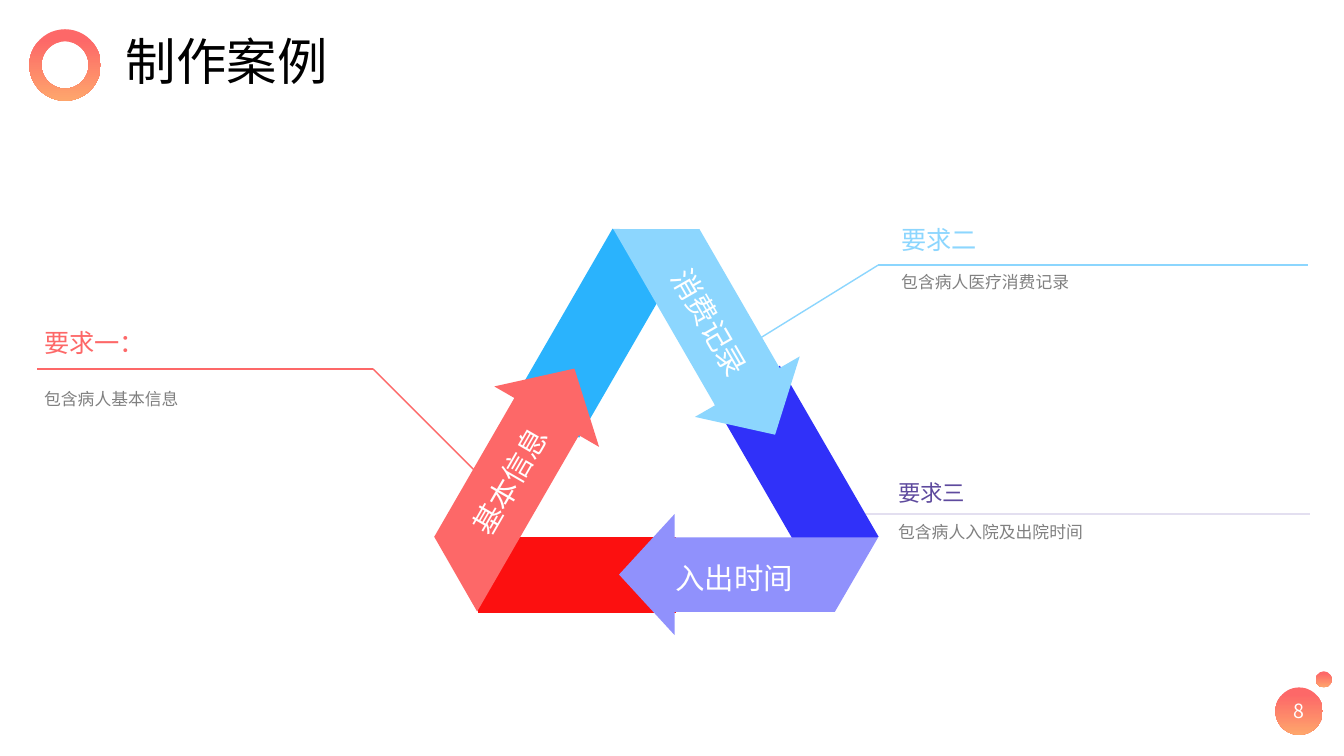
from dataclasses import dataclass
from lxml import etree
from pptx import Presentation, util as u
from pptx.dml.color import RGBColor
from pptx.enum import shapes, text
from pptx.oxml import ns


@dataclass(frozen=True)
class Theme:
    font: str = "Noto Sans CJK SC"
    coral: str = "FD6868"
    orange: str = "FEA66C"
    red: str = "FC1010"
    sky: str = "8CD6FE"
    azure: str = "2AB3FD"
    blue: str = "3031F9"
    lilac: str = "9091FC"
    violet: str = "5E4A9E"
    pale: str = "E3DFF0"
    grey: str = "808080"
    black: str = "000000"
    white: str = "FFFFFF"
    title: int = 36
    label: int = 21
    heading: int = 18
    small_heading: int = 16
    number: int = 14
    body: int = 12


COLS, ROWS = 133.3, 75
ARROW = [(0, 97), (43, 23), (202, 23), (202, 0), (257, 60), (202, 120), (202, 97)]
BAR = [(0, 0), (196, 0), (196, 75), (0, 75)]


class Deck:
    def __init__(self, theme):
        self.theme = theme
        self.prs = Presentation()
        self.prs.slide_width, self.prs.slide_height = u.Inches(13.33), u.Inches(7.5)
        self.cell_w = self.prs.slide_width / COLS
        self.cell_h = self.prs.slide_height / ROWS
        self.s = self.prs.slides.add_slide(self.prs.slide_layouts[6])

    def x(self, cols):
        return u.Emu(round(cols * self.cell_w))

    def y(self, rows):
        return u.Emu(round(rows * self.cell_h))

    def box(self, left, top, width, height):
        return self.x(left), self.y(top), self.x(width), self.y(height)

    def fill_text(self, sp, words, size, color, align=text.PP_ALIGN.LEFT, spacing=None, **frame):
        tf = sp.text_frame
        for name, value in frame.items():
            setattr(tf, name, value)
        p = tf.paragraphs[0]
        for name, value in {"alignment": align, "line_spacing": spacing}.items():
            setattr(p, name, value)
        r = p.add_run()
        r.text = words
        for name, value in {"name": self.theme.font, "size": u.Pt(size)}.items():
            setattr(r.font, name, value)
        r.font.color.rgb = RGBColor.from_string(color)
        ea = etree.SubElement(r.font._element, ns.qn("a:ea"))
        ea.set("typeface", self.theme.font)

    def text(self, place, words, size, color, **style):
        tb = self.s.shapes.add_textbox(*self.box(*place))
        fmt = {"word_wrap": True, "auto_size": text.MSO_AUTO_SIZE.SHAPE_TO_FIT_TEXT}
        self.fill_text(tb, words, size, color, **{**fmt, **style})

    def gradient(self, kind, place):
        sp = self.s.shapes.add_shape(kind, *self.box(*place))
        sp.shadow.inherit = False
        sp.line.fill.background()
        sp.fill.gradient()
        sp.fill.gradient_angle = 270
        stops = [(0.15, self.theme.coral), (1, self.theme.orange)]
        for stop, (position, color) in zip(sp.fill.gradient_stops, stops):
            stop.position = position
            stop.color.rgb = RGBColor.from_string(color)
        return sp

    def line(self, points, color, width=1):
        for start, end in zip(points, points[1:]):
            c = self.s.shapes.add_connector(
                shapes.MSO_CONNECTOR.STRAIGHT,
                self.x(start[0]), self.y(start[1]), self.x(end[0]), self.y(end[1]))
            c.line.color.rgb = RGBColor.from_string(color)
            c.line.width = u.Pt(width)
            etree.SubElement(c._element.spPr, ns.qn("a:effectLst"))

    def band(self, outline, left, top, rotation, color, words=None):
        fb = self.s.shapes.build_freeform(*outline[0], scale=(self.cell_w / 10, self.cell_h / 10))
        fb.add_line_segments(outline[1:], close=True)
        sp = fb.convert_to_shape(self.x(left), self.y(top))
        sp.rotation = rotation
        sp.shadow.inherit = False
        sp.fill.solid()
        sp.fill.fore_color.rgb = RGBColor.from_string(color)
        sp.line.fill.background()
        if words:
            self.fill_text(sp, words, self.theme.label, self.theme.white, text.PP_ALIGN.CENTER,
                           vertical_anchor=text.MSO_ANCHOR.MIDDLE, word_wrap=True)

    def note(self, points, line_color, width, heading, size, color, heading_at, body, body_at):
        self.line(points, line_color, width)
        self.text(body_at, body, self.theme.body, self.theme.grey)
        self.text(heading_at, heading, size, color, word_wrap=False)


def main():
    t = Theme()
    d = Deck(t)
    middle = text.MSO_ANCHOR.MIDDLE

    page = d.gradient(shapes.MSO_SHAPE.OVAL, (126.5, 68.2, 4.7, 4.7))
    d.fill_text(page, "8", t.number, t.white, text.PP_ALIGN.CENTER,
                vertical_anchor=middle, word_wrap=False)
    d.gradient(shapes.MSO_SHAPE.OVAL, (130.5, 66.6, 1.6, 1.6))
    ring = d.gradient(shapes.MSO_SHAPE.DONUT, (2.9, 2.9, 7.1, 7.1))
    ring.adjustments[0] = 0.17

    d.note([(47.4, 47), (37, 36.6), (3.7, 36.6)], t.coral, 1,
           "要求一：", t.heading, t.coral, (3.4, 32, 12, 4),
           "包含病人基本信息", (3.4, 38.1, 32.7, 3))
    d.note([(82.1, 51), (129.9, 51)], t.pale, 1.5,
           "要求三", t.small_heading, t.violet, (88.1, 47, 8.7, 3.7),
           "包含病人入院及出院时间", (88.1, 51.3, 41.5, 3))
    d.note([(75.3, 33.6), (87.1, 26.3), (129.7, 26.3)], t.sky, 1,
           "要求二", t.heading, t.sky, (88.4, 21.8, 9.5, 4),
           "包含病人医疗消费记录", (88.4, 26.5, 41.5, 3))

    for left, top, rotation, color in [
        (69.2, 42.9, 60, t.blue),
        (47.4, 53.3, 180, t.red),
        (49.3, 29.3, 300, t.azure),
    ]:
        d.band(BAR, left, top, rotation, color)
    for left, top, rotation, color, words in [
        (57.6, 26, 60, t.sky, "消费记录"),
        (37.7, 41.7, 300, t.coral, "基本信息"),
        (61.4, 51, 180, t.lilac, None),
    ]:
        d.band(ARROW, left, top, rotation, color, words)

    d.text((66, 55.1, 13.7, 4.5), "入出时间", t.label, t.white, word_wrap=False)
    d.text((11.5, 3.6, 118.1, 5.5), "制作案例", t.title, t.black, spacing=0.9,
           vertical_anchor=middle, auto_size=text.MSO_AUTO_SIZE.NONE)
    d.prs.save("out.pptx")


if __name__ == "__main__":
    main()
